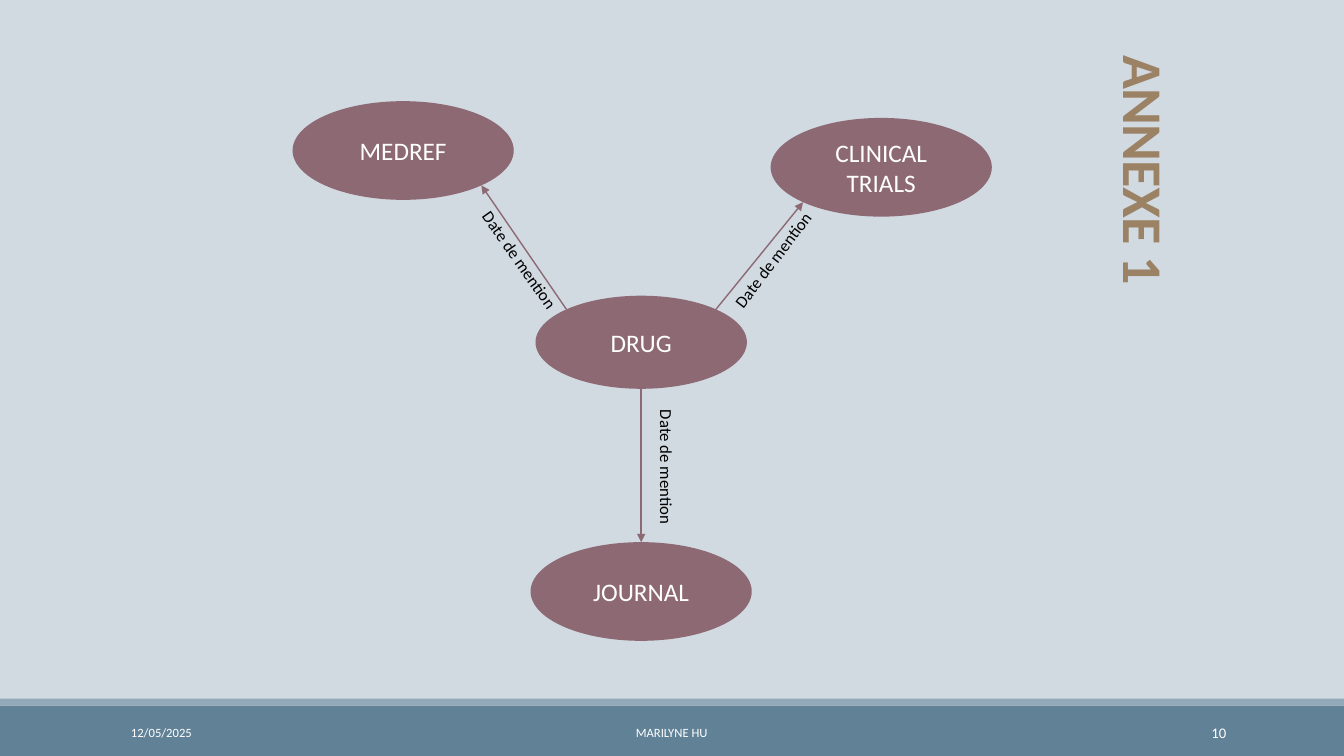
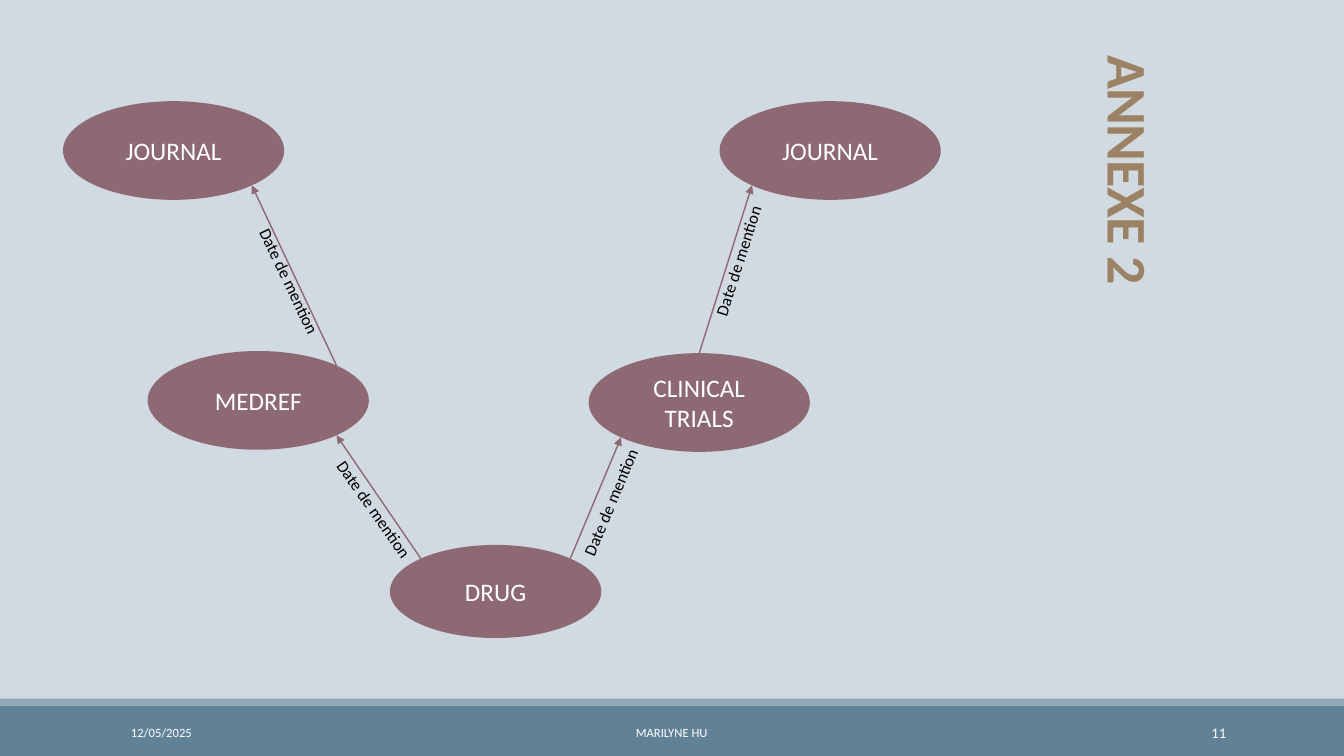
from math import cos, radians, sin

from lxml.etree import SubElement
from pptx import Presentation
from pptx.dml.color import RGBColor
from pptx.enum.shapes import MSO_CONNECTOR as CONN, MSO_SHAPE as SHAPE
from pptx.enum.text import MSO_ANCHOR as ANCHOR, MSO_AUTO_SIZE as AUTO, PP_ALIGN as ALIGN
from pptx.oxml.ns import qn
from pptx.util import Pt

COLORS = {
    "background": "D1D9E1",
    "band": "618197",
    "strip": "92A9B9",
    "title": "9C8265",
    "node": "8D6974",
    "white": "FFFFFF",
    "black": "000000",
}
FONT = "Calibri"
SLIDE_W, SLIDE_H = 960, 540
NODE_SIZE = (158, 70.5)
DRUG_SIZE = (151, 66.5)
LABEL_SIZE = (29, 91.5)
EDGE_LABEL = "Date de mention"

TOP, TOP_LEFT, LEFT, BOTTOM_LEFT, BOTTOM, BOTTOM_RIGHT, RIGHT, TOP_RIGHT = range(8)

SLIDES = [
    {
        "title": "ANNEXE 1",
        "title_box": (790.5, 32.5, 103, 453.5),
        "number": "10",
        "box": (209, 72),
        "nodes": {
            "drug": ("DRUG", 249, 172.5, DRUG_SIZE),
            "trials": ("CLINICAL TRIALS", 420.5, 47.5, NODE_SIZE),
            "journal": ("JOURNAL", 249, 350.5, NODE_SIZE),
            "articles": ("MEDREF", 79, 35.5, NODE_SIZE),
        },
        "edges": [
            ("drug", TOP_RIGHT, "trials", BOTTOM_LEFT, (344.5, 117.5, 217.2)),
            ("drug", TOP_LEFT, "articles", BOTTOM_RIGHT, (158, 114, 324.9)),
            ("drug", BOTTOM, "journal", TOP, (263.5, 259.5, 0)),
        ],
    },
    {
        "title": "ANNEXE 2",
        "title_box": (779.5, 32.5, 114.5, 453.5),
        "number": "11",
        "box": (45, 72),
        "nodes": {
            "drug": ("DRUG", 309, 350.5, DRUG_SIZE),
            "trials": ("CLINICAL TRIALS", 454.5, 215.5, NODE_SIZE),
            "trials_journal": ("JOURNAL", 548, 35.5, NODE_SIZE),
            "articles": ("MEDREF", 139.5, 214, NODE_SIZE),
            "articles_journal": ("JOURNAL", 79, 35.5, NODE_SIZE),
        },
        "edges": [
            ("drug", TOP_RIGHT, "trials", BOTTOM_LEFT, (393.5, 290, 202.6)),
            ("drug", TOP_LEFT, "articles", BOTTOM_RIGHT, (218, 292, 324.9)),
            ("trials", TOP, "trials_journal", BOTTOM_LEFT, (485, 117.5, 197.8)),
            ("articles", TOP_RIGHT, "articles_journal", BOTTOM_RIGHT, (157.5, 128.5, 334.4)),
        ],
    },
]


def rgb(name):
    """Return the named colour."""
    return RGBColor.from_string(COLORS[name])


def centered(x, y, size):
    """Return the box of a given size around a centre."""
    w, h = size
    return x - w / 2, y - h / 2, w, h


def write(sp, text, size, color, bold=False, align=None, anchor=ANCHOR.TOP,
          vertical=False, wrap=True, line_spacing=None, tracking=None):
    """Put formatted text in a shape and return its text frame."""
    tf = sp.text_frame
    tf.word_wrap = wrap
    tf.vertical_anchor = anchor
    if vertical:
        sp._element.txBody.bodyPr.set("vert", "eaVert")
    p = tf.paragraphs[0]
    p.alignment = align
    p.line_spacing = line_spacing
    r = p.add_run()
    r.text = text
    r.font.name = FONT
    r.font.size = Pt(size)
    r.font.bold = bold
    r.font.color.rgb = rgb(color)
    if tracking is not None:
        r._r.get_or_add_rPr().set("spc", str(int(tracking * 100)))
    return tf


def add_text(s, box, text, size, color, **fmt):
    """Add a text box and return it."""
    sp = s.shapes.add_textbox(*map(Pt, box))
    write(sp, text, size, color, **fmt)
    return sp


def add_fill(s, kind, box, color):
    """Add a flat filled shape without outline."""
    sp = s.shapes.add_shape(kind, *map(Pt, box))
    sp.shadow.inherit = False
    sp.fill.solid()
    sp.fill.fore_color.rgb = rgb(color)
    sp.line.fill.background()
    return sp


def add_footer(s, box, number):
    """Draw the bottom bands with date, author and slide number."""
    x, y, w, h = box
    add_fill(s, SHAPE.RECTANGLE, (x, y + 5, w, h - 5), "band")
    add_fill(s, SHAPE.RECTANGLE, (x, y, w, 5), "strip")
    for left, width, text, size, align in (
        (86.5, 194.5, "12/05/2025", 9, ALIGN.LEFT),
        (290, 379.5, "MARILYNE HU", 9, ALIGN.CENTER),
        (780, 103, number, 10.5, ALIGN.RIGHT),
    ):
        add_text(s, (x + left, y + 9.5, width, 29), text, size, "white",
                 align=align, anchor=ANCHOR.MIDDLE)


def add_node(s, x, y, size, text):
    """Draw a labelled ellipse around a centre."""
    sp = add_fill(s, SHAPE.OVAL, centered(x, y, size), "node")
    write(sp, text, 18, "white", align=ALIGN.CENTER, anchor=ANCHOR.MIDDLE)
    return sp


def site_point(sp, site):
    """Return the place of an ellipse's connection site, counted from the top to the left."""
    angle = radians(45 * site)
    return (int(sp.left + sp.width / 2 * (1 - sin(angle))),
            int(sp.top + sp.height / 2 * (1 - cos(angle))))


def add_arrow(s, start, start_site, end, end_site):
    """Draw an arrow joined to the sites of two ellipses."""
    cxn = s.shapes.add_connector(CONN.STRAIGHT, *site_point(start, start_site),
                                 *site_point(end, end_site))
    cxn.line.color.rgb = rgb("node")
    cxn.line.width = Pt(1)
    SubElement(cxn.line._get_or_add_ln(), qn("a:tailEnd"), type="triangle")
    SubElement(cxn._element.spPr, qn("a:effectLst"))
    joints = cxn._element.nvCxnSpPr.cNvCxnSpPr
    for tag, sp, site in (("a:stCxn", start, start_site), ("a:endCxn", end, end_site)):
        SubElement(joints, qn(tag), id=str(sp.shape_id), idx=str(site))


def add_graph(s, box, nodes, edges):
    """Draw the nodes, then their arrows with a label along each."""
    x, y = box
    ovals = {key: add_node(s, x + cx, y + cy, size, text)
             for key, (text, cx, cy, size) in nodes.items()}
    for start, start_site, end, end_site, (cx, cy, rotation) in edges:
        add_arrow(s, ovals[start], start_site, ovals[end], end_site)
        label = add_text(s, centered(x + cx, y + cy, LABEL_SIZE), EDGE_LABEL, 12, "black",
                         vertical=True, wrap=False)
        label.text_frame.auto_size = AUTO.SHAPE_TO_FIT_TEXT
        label.rotation = rotation


def add_annex(prs, title, title_box, number, box, nodes, edges):
    """Add one annex slide with its vertical title and graph."""
    s = prs.slides.add_slide(prs.slide_layouts[6])
    add_footer(s, (0, 499, SLIDE_W, 41), number)
    add_text(s, title_box, title, 40, "title", bold=True, anchor=ANCHOR.BOTTOM,
             vertical=True, line_spacing=0.85, tracking=-0.5)
    add_graph(s, box, nodes, edges)


def main():
    """Build and save the presentation."""
    prs = Presentation()
    prs.slide_width, prs.slide_height = Pt(SLIDE_W), Pt(SLIDE_H)
    fill = prs.slide_master.background.fill
    fill.solid()
    fill.fore_color.rgb = rgb("background")
    for annex in SLIDES:
        add_annex(prs, **annex)
    prs.save("out.pptx")


if __name__ == "__main__":
    main()
